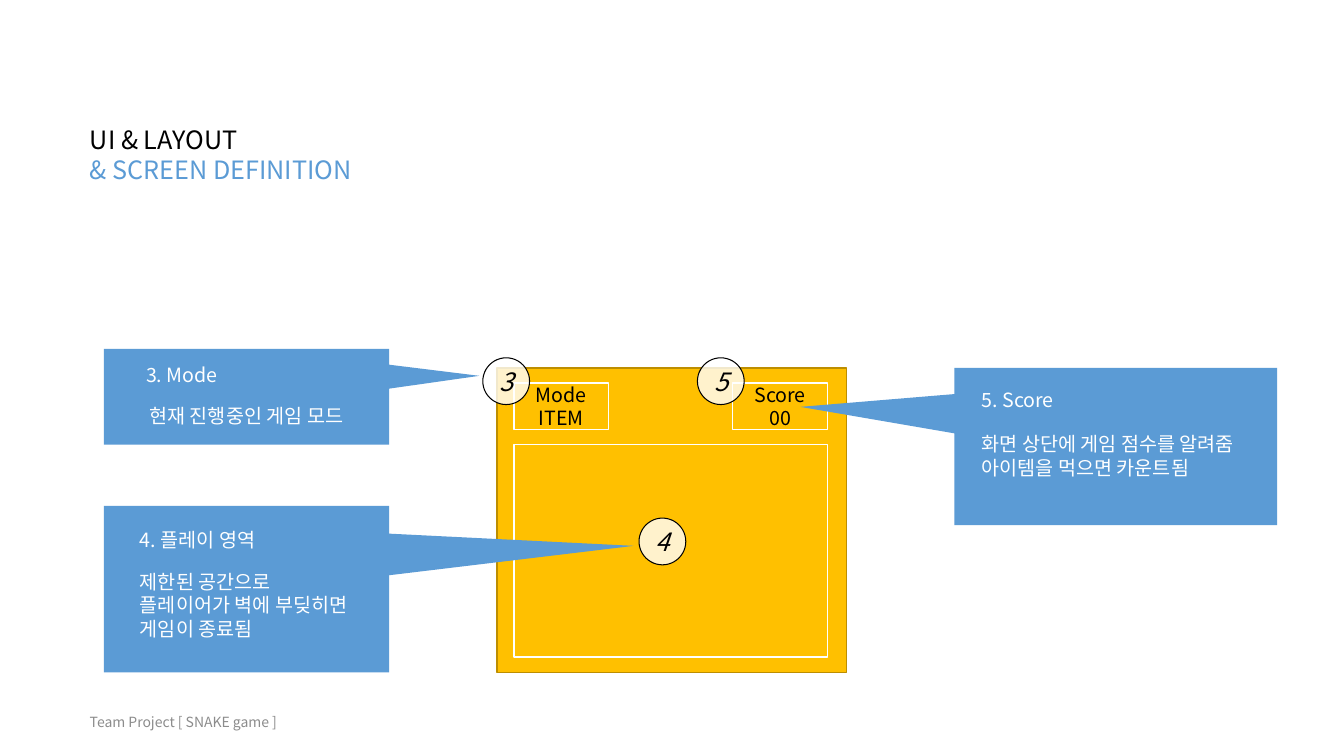
from dataclasses import dataclass

from lxml import etree
from pptx import Presentation
from pptx.dml.color import RGBColor
from pptx.enum.shapes import MSO_SHAPE as SHAPE
from pptx.enum.text import MSO_ANCHOR as ANCHOR, MSO_AUTO_SIZE as AUTO_SIZE, PP_ALIGN as ALIGN
from pptx.oxml.ns import qn
from pptx.util import Pt


@dataclass(frozen=True)
class Theme:
    font: str = "Noto Sans CJK KR"
    ink: str = "000000"
    white: str = "FFFFFF"
    blue: str = "5B9BD5"
    amber: str = "FFC000"
    amber_edge: str = "BD8E00"
    gray: str = "8C8C8C"
    heading: int = 18
    body: int = 14
    footer: int = 10
    leading: float = 1.2
    badge_alpha: int = 80


THEME = Theme()
LINE_HEIGHT = THEME.body * THEME.leading
BADGE_SIZE = 33.4


def points(*lengths):
    return [Pt(length) for length in lengths]


def write(tf, lines, size, color, align=ALIGN.LEFT, italic=False):
    """Fill a text frame with one paragraph per line."""
    tf.text = "\n".join(lines)
    for p in tf.paragraphs:
        p.alignment = align
        p.line_spacing = Pt(size * THEME.leading)
        p.space_before = Pt(0)
        p.font.name = THEME.font
        p.font.size = Pt(size)
        p.font.italic = italic
        p.font.color.rgb = RGBColor.from_string(color)
        defaults = p.font._element
        latin = defaults.find(qn("a:latin"))
        east_asian = etree.Element(qn("a:ea"), typeface=THEME.font)
        latin.addnext(east_asian)


def fit_to_text(tf):
    tf.word_wrap = False
    tf.auto_size = AUTO_SIZE.SHAPE_TO_FIT_TEXT


def add_title(slide, lines, box):
    title = slide.shapes.title
    title.left, title.top, title.width, title.height = points(*box)
    tf = title.text_frame
    write(tf, lines, THEME.heading, THEME.ink)
    tf.vertical_anchor = ANCHOR.TOP
    fit_to_text(tf)
    tf.paragraphs[-1].font.color.rgb = RGBColor.from_string(THEME.blue)


def add_text(slide, lines, box, size=THEME.body, color=THEME.white, align=ALIGN.LEFT):
    tf = slide.shapes.add_textbox(*points(*box)).text_frame
    write(tf, lines, size, color, align)
    fit_to_text(tf)


def add_shape(slide, kind, box, fill=None, line=None, weight=1):
    sp = slide.shapes.add_shape(kind, *points(*box))
    sp.shadow.inherit = False
    if fill:
        sp.fill.solid()
        sp.fill.fore_color.rgb = RGBColor.from_string(fill)
    else:
        sp.fill.background()
    if line:
        sp.line.color.rgb = RGBColor.from_string(line)
        sp.line.width = Pt(weight)
    else:
        sp.line.fill.background()
    return sp


def add_panel(slide, box, lines=()):
    """Add a white outlined area of the game screen."""
    sp = add_shape(slide, SHAPE.RECTANGLE, box, line=THEME.white)
    if lines:
        write(sp.text_frame, lines, THEME.body, THEME.ink, ALIGN.CENTER)
        sp.text_frame.vertical_anchor = ANCHOR.MIDDLE


def add_badge(slide, number, left, top):
    box = (left, top, BADGE_SIZE, BADGE_SIZE)
    sp = add_shape(slide, SHAPE.OVAL, box, THEME.white, THEME.ink, 0.75)
    color = sp.fill._xPr.find(qn("a:solidFill"))[0]
    etree.SubElement(color, qn("a:alpha"), val=str(THEME.badge_alpha * 1000))
    write(sp.text_frame, [number], THEME.heading, THEME.ink, ALIGN.CENTER, italic=True)
    sp.text_frame.vertical_anchor = ANCHOR.MIDDLE


def add_callout(slide, box, tip, heading, heading_box, body, body_box, align=ALIGN.LEFT):
    """Add a callout; text boxes are (left, top, width)."""
    sp = add_shape(slide, SHAPE.RECTANGULAR_CALLOUT, box, THEME.blue)
    sp.adjustments[0], sp.adjustments[1] = tip
    for lines, place in (([heading], heading_box), (body, body_box)):
        height = len(lines) * LINE_HEIGHT + 7.2
        add_text(slide, lines, (*place, height), align=align)


def main():
    prs = Presentation()
    prs.slide_width, prs.slide_height = points(960, 540)
    slide = prs.slides.add_slide(prs.slide_layouts[5])

    add_title(slide, ["UI & LAYOUT", "& SCREEN DEFINITION"], (57, 85, 202.3, 51))
    add_text(slide, ["Team Project [ SNAKE game ]"], (57, 506, 151, 19.5),
             THEME.footer, THEME.gray)

    add_shape(slide, SHAPE.RECTANGLE, (355, 262.8, 249.8, 217.4),
              THEME.amber, THEME.amber_edge)
    add_panel(slide, (367.2, 273.6, 67.7, 33.1), ["Mode", "ITEM"])
    add_panel(slide, (523.4, 273.6, 67.7, 33.1), ["Score 00"])
    add_panel(slide, (367.2, 317.5, 223.9, 151.9))
    for number, left, top in (("3", 344.9, 255.6), ("4", 456.5, 370.1), ("5", 498.2, 255.6)):
        add_badge(slide, number, left, top)

    add_callout(slide, (74.2, 249.1, 203.8, 68.4), (0.816, -0.217),
                "3. Mode", (92.9, 255.6, 69.8),
                ["현재 진행중인 게임 모드 "], (92.9, 285.1, 162.7), ALIGN.RIGHT)
    add_callout(slide, (74.2, 361.4, 203.8, 118.8), (1.357, -0.26),
                "4. 플레이 영역", (92.9, 373.7, 101.5),
                ["제한된 공간으로", "플레이어가 벽에 부딪히면", "게임이 종료됨"],
                (92.9, 403.2, 168.5))
    add_callout(slide, (681.8, 262.8, 230.4, 112.3), (-0.978, -0.252),
                "5. Score", (694.1, 273.6, 67),
                ["화면 상단에 게임 점수를 알려줌", "아이템을 먹으면 카운트됨"],
                (694.1, 305.3, 202.3))

    prs.save("out.pptx")


if __name__ == "__main__":
    main()
